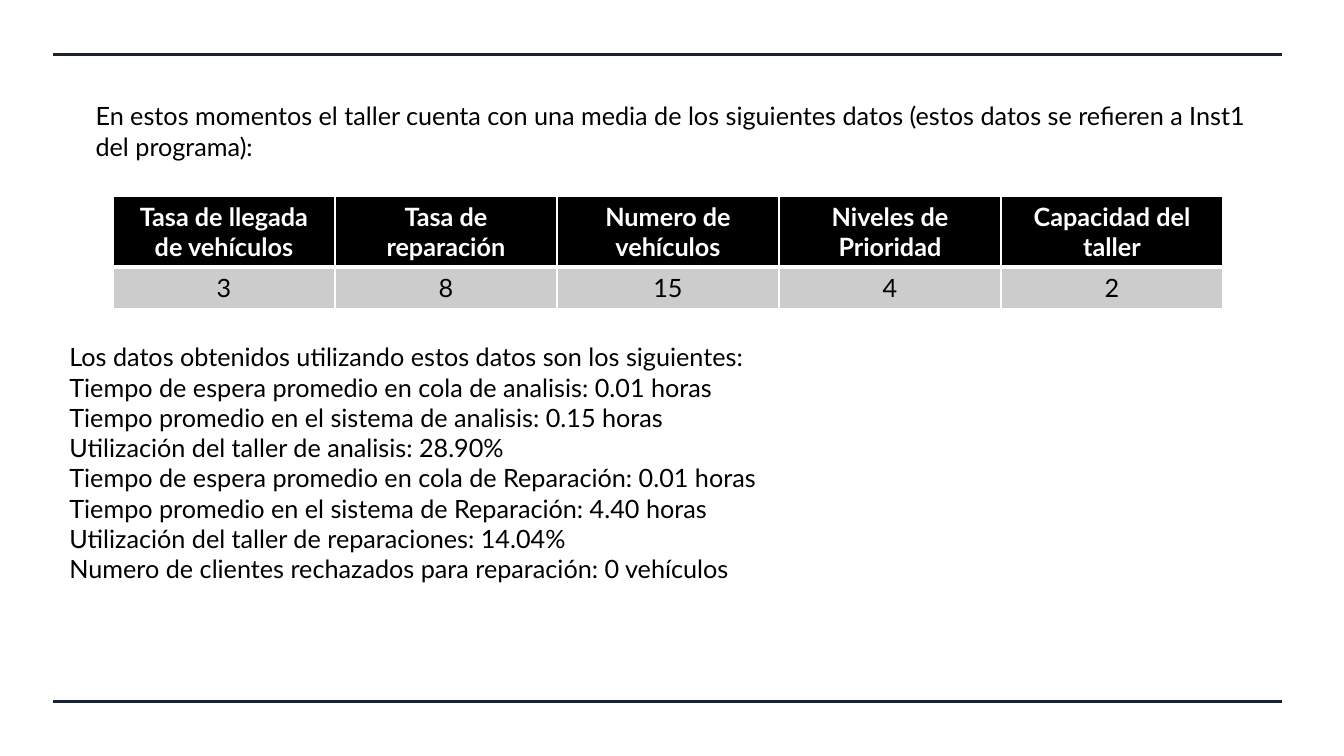
from dataclasses import dataclass

from lxml import etree
from pptx import Presentation
from pptx.dml.color import RGBColor
from pptx.enum.shapes import MSO_CONNECTOR
from pptx.enum.text import MSO_AUTO_SIZE, PP_ALIGN
from pptx.oxml.ns import qn
from pptx.util import Emu, Pt

STRAIGHT = MSO_CONNECTOR.STRAIGHT
FIT_SHAPE = MSO_AUTO_SIZE.SHAPE_TO_FIT_TEXT
CENTER = PP_ALIGN.CENTER
EMU_PER_PX = 9144  # 100 px to the inch
BLANK_LAYOUT = 6


@dataclass(frozen=True)
class Theme:
    font: str = "Lato"
    text_size: int = 18
    rule_width: float = 2.25
    grid_width: int = 1
    header_rule_width: int = 3
    rule: str = "182230"
    dark: str = "000000"
    light: str = "FFFFFF"
    value_fill: str = "CCCCCC"


THEME = Theme()

INTRO = [
    "En estos momentos el taller cuenta con una media de los siguientes datos "
    "(estos datos se refieren a Inst1 del programa):"
]
WORKSHOP_DATA = [
    ("Tasa de llegada de vehículos", "3"),
    ("Tasa de reparación", "8"),
    ("Numero de vehículos", "15"),
    ("Niveles de Prioridad", "4"),
    ("Capacidad del taller", "2"),
]
RESULTS = [
    "Los datos obtenidos utilizando estos datos son los siguientes:",
    "Tiempo de espera promedio en cola de analisis: 0.01 horas",
    "Tiempo promedio en el sistema de analisis: 0.15 horas",
    "Utilización del taller de analisis: 28.90%",
    "Tiempo de espera promedio en cola de Reparación: 0.01 horas",
    "Tiempo promedio en el sistema de Reparación: 4.40 horas",
    "Utilización del taller de reparaciones: 14.04%",
    "Numero de clientes rechazados para reparación: 0 vehículos",
]


def px(length):
    return Emu(length * EMU_PER_PX)


def add_run(paragraph, text, color, bold=False):
    run = paragraph.add_run()
    run.text = text
    run.font.name = THEME.font
    run.font.size = Pt(THEME.text_size)
    run.font.bold = bold
    run.font.color.rgb = RGBColor.from_string(color)


def add_rule(slide, left, right, y):
    rule = slide.shapes.add_connector(STRAIGHT, px(left), px(y), px(right), px(y))
    rule.line.color.rgb = RGBColor.from_string(THEME.rule)
    rule.line.width = Pt(THEME.rule_width)
    etree.SubElement(rule._element.spPr, qn("a:effectLst"))


def add_text(slide, left, top, width, height, lines):
    box = slide.shapes.add_textbox(px(left), px(top), px(width), px(height))
    frame = box.text_frame
    frame.word_wrap = True
    frame.auto_size = FIT_SHAPE
    for index, line in enumerate(lines):
        paragraph = frame.add_paragraph() if index else frame.paragraphs[0]
        add_run(paragraph, line, THEME.dark)


def set_borders(cell, top, bottom):
    properties = cell._tc.get_or_add_tcPr()
    sides = {"L": THEME.grid_width, "R": THEME.grid_width, "T": top, "B": bottom}
    for side, width in sides.items():
        border = etree.SubElement(properties, qn(f"a:ln{side}"), w=str(Pt(width)))
        fill = etree.SubElement(border, qn("a:solidFill"))
        etree.SubElement(fill, qn("a:srgbClr"), val=THEME.light)


def fill_cell(cell, text, is_header):
    thin, thick = THEME.grid_width, THEME.header_rule_width
    if is_header:
        set_borders(cell, thin, thick)
    else:
        set_borders(cell, thick, thin)
    cell.fill.solid()
    fill_color = THEME.dark if is_header else THEME.value_fill
    cell.fill.fore_color.rgb = RGBColor.from_string(fill_color)
    paragraph = cell.text_frame.paragraphs[0]
    paragraph.alignment = CENTER
    add_run(paragraph, text, THEME.light if is_header else THEME.dark, is_header)


def add_data_table(slide, left, top, width, row_heights, data):
    frame = slide.shapes.add_table(
        len(row_heights), len(data), px(left), px(top), px(width), px(sum(row_heights))
    )
    table = frame.table
    for row, height in zip(table.rows, row_heights):
        row.height = px(height)
    for column, entry in enumerate(data):
        for row, text in enumerate(entry):
            fill_cell(table.cell(row, column), text, is_header=row == 0)


def main():
    presentation = Presentation()
    presentation.slide_width = px(1333)
    presentation.slide_height = px(750)
    slide = presentation.slides.add_slide(presentation.slide_layouts[BLANK_LAYOUT])

    # Rules at the head and foot
    for y in (54, 696):
        add_rule(slide, 53, 1272, y)

    # Workshop data
    add_text(slide, 85, 95, 1163, 71, INTRO)
    add_data_table(slide, 112, 195, 1101, (70, 41), WORKSHOP_DATA)

    # Results
    add_text(slide, 59, 334, 1163, 252, RESULTS)

    presentation.save("out.pptx")


if __name__ == "__main__":
    main()
